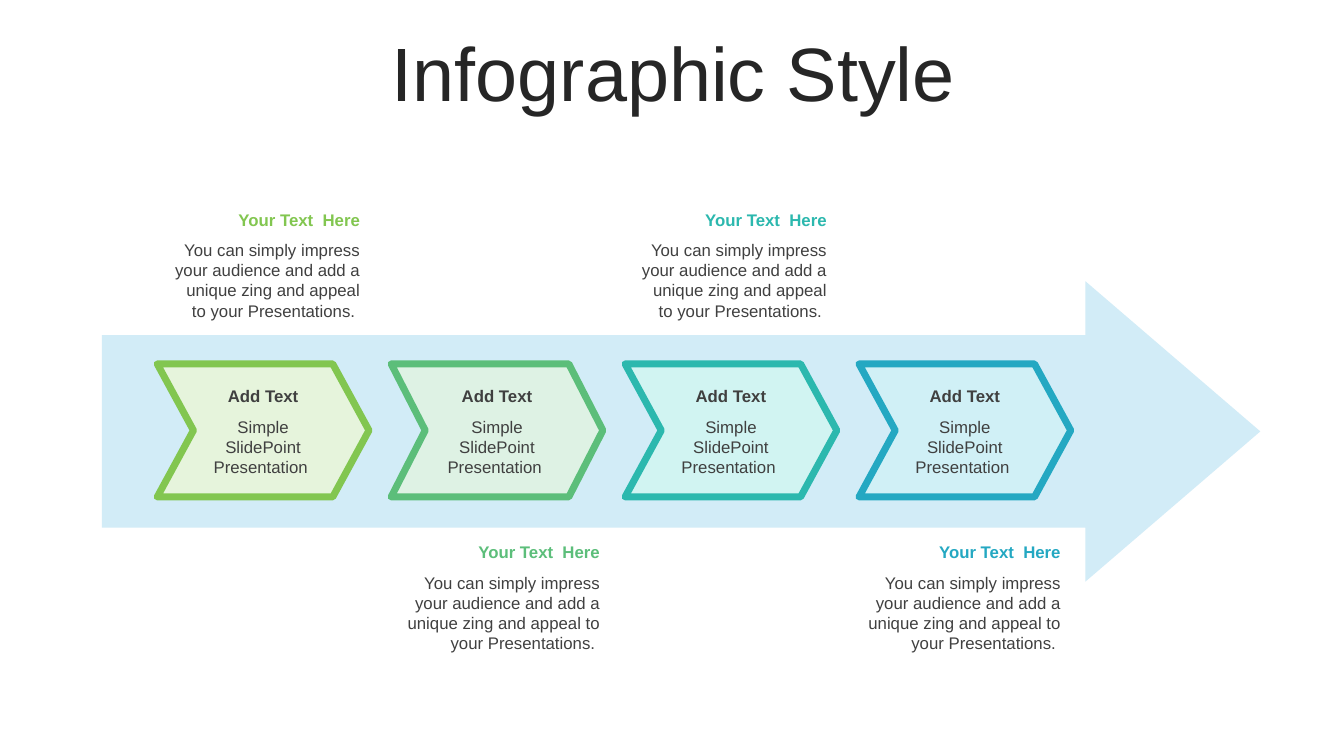
from dataclasses import dataclass

from pptx import Presentation
from pptx.dml.color import RGBColor
from pptx.enum.shapes import MSO_SHAPE
from pptx.enum.text import MSO_ANCHOR, MSO_AUTO_SIZE, PP_ALIGN
from pptx.util import Inches, Pt

CENTER, RIGHT = PP_ALIGN.CENTER, PP_ALIGN.RIGHT
MIDDLE, TOP = MSO_ANCHOR.MIDDLE, MSO_ANCHOR.TOP
NO_FIT = MSO_AUTO_SIZE.NONE
ARROW, CHEVRON = MSO_SHAPE.RIGHT_ARROW, MSO_SHAPE.CHEVRON
TITLE_ONLY = 5


@dataclass(frozen=True)
class Theme:
    font: str = "Arial"
    title_size: int = 54
    text_size: int = 12
    line_width: int = 5
    title: str = "262626"
    text: str = "404040"
    arrow: str = "D2ECF7"


@dataclass(frozen=True)
class Step:
    color: str
    fill: str
    notch: float
    caption_left: float
    caption_width: float


STEPS = [
    Step("82C650", "E6F4DC", 0.272, 1.62, 2.05),
    Step("5CBE7A", "DEF2E4", 0.256, 3.85, 2.2),
    Step("2CB8AE", "D1F4F2", 0.272, 6.24, 2.06),
    Step("24A8C2", "D0F0F6", 0.272, 8.49, 2.13),
]
STEP_LEFT, STEP_PITCH = 1.56, 2.32
LABEL_INSET = 0.35
CAPTION_TOPS = (2.03, 5.33)
HEADING_HEIGHT = 0.3
LABEL_HEADING = "Add Text"
LABEL_BODY = "Simple SlidePoint Presentation "
CAPTION_HEADING = "Your Text  Here"
CAPTION_BODY = ("You can simply impress your audience and add a unique zing "
                "and appeal to your Presentations. ")


class SlideBuilder:
    def __init__(self, prs, theme):
        self.theme = theme
        self.slide = prs.slides.add_slide(prs.slide_layouts[TITLE_ONLY])

    def fill_text(self, tf, text, align, size, color, bold=False, anchor=TOP):
        frame_format = {"word_wrap": True, "auto_size": NO_FIT,
                        "vertical_anchor": anchor}
        for name, value in frame_format.items():
            setattr(tf, name, value)
        p = tf.paragraphs[0]
        p.alignment = align
        r = p.add_run()
        r.text = text
        font_format = {"name": self.theme.font, "size": Pt(size), "bold": bold}
        for name, value in font_format.items():
            setattr(r.font, name, value)
        r.font.color.rgb = RGBColor.from_string(color)
        return p

    def title(self, text, left, top, width, height):
        sp = self.slide.shapes.title
        place = {"left": left, "top": top, "width": width, "height": height}
        for name, value in place.items():
            setattr(sp, name, Inches(value))
        p = self.fill_text(sp.text_frame, text, CENTER, self.theme.title_size,
                           self.theme.title, anchor=MIDDLE)
        p.line_spacing = 0.9

    def shape(self, kind, box, adjustments, fill, line=None):
        sp = self.slide.shapes.add_shape(kind, *map(Inches, box))
        sp.shadow.inherit = False
        for i, value in enumerate(adjustments):
            sp.adjustments[i] = value
        sp.fill.solid()
        sp.fill.fore_color.rgb = RGBColor.from_string(fill)
        if line:
            sp.line.color.rgb = RGBColor.from_string(line)
            sp.line.width = Pt(self.theme.line_width)
        else:
            sp.line.fill.background()

    def text(self, text, box, align, color, bold=False):
        sp = self.slide.shapes.add_textbox(*map(Inches, box))
        self.fill_text(sp.text_frame, text, align, self.theme.text_size,
                       color, bold)

    def note(self, heading, body, left, top, width, body_height, align, color):
        """Add a bold heading with its body text directly below."""
        self.text(heading, (left, top, width, HEADING_HEIGHT), align, color, True)
        self.text(body, (left, top + HEADING_HEIGHT, width, body_height),
                  align, self.theme.text)


def main():
    prs = Presentation()
    prs.slide_width, prs.slide_height = Inches(13.33), Inches(7.5)
    theme = Theme()
    s = SlideBuilder(prs, theme)
    s.title("Infographic Style", 0.35, 0.37, 12.66, 0.79)
    s.shape(ARROW, (1.01, 2.79, 11.49, 2.98), (0.641, 0.582), theme.arrow)
    for i, step in enumerate(STEPS):
        left = STEP_LEFT + i * STEP_PITCH
        s.shape(CHEVRON, (left, 3.61, 2.1, 1.32), (step.notch,),
                step.fill, step.color)
        s.note(LABEL_HEADING, LABEL_BODY, left + LABEL_INSET, 3.78, 1.4, 0.71,
               CENTER, theme.text)
        s.note(CAPTION_HEADING, CAPTION_BODY, step.caption_left,
               CAPTION_TOPS[i % 2], step.caption_width, 0.91, RIGHT, step.color)
    prs.save("out.pptx")


if __name__ == "__main__":
    main()
